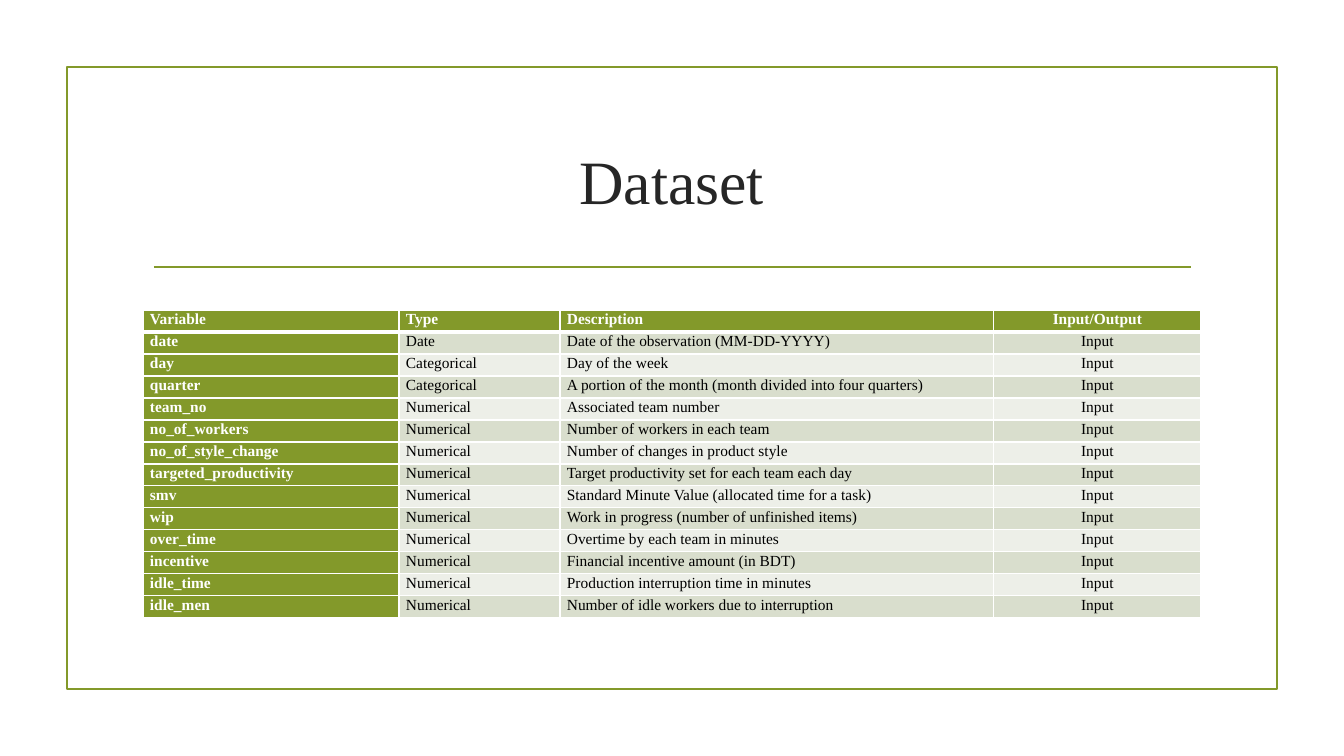
from dataclasses import dataclass

from lxml.etree import SubElement
from pptx import Presentation
from pptx.dml.color import RGBColor
from pptx.enum.shapes import MSO_CONNECTOR, MSO_SHAPE
from pptx.enum.text import MSO_ANCHOR, PP_ALIGN
from pptx.oxml.ns import qn
from pptx.util import Pt

EMU_PER_PX = 914400 / 100.8


def px(length):
    return round(length * EMU_PER_PX)


@dataclass(frozen=True)
class Theme:
    font: str = "Times New Roman"
    green: str = "83992A"
    dark_band: str = "D9DECD"
    light_band: str = "EDEFE8"
    white: str = "FFFFFF"
    black: str = "000000"
    title_color: str = "262626"
    title_size: int = 44
    table_size: int = 11
    line_width: float = 1.25
    cell_border: int = 1
    header_border: int = 3
    line_spacing: float = 1.07


class SlideBuilder:
    def __init__(self, slide, theme):
        self.slide = slide
        self.theme = theme

    def format_paragraph(self, paragraph, size, color, alignment, bold=False):
        paragraph.alignment = alignment
        for run in paragraph.runs:
            run.font.name = self.theme.font
            run.font.size = Pt(size)
            run.font.bold = bold
            run.font.color.rgb = RGBColor.from_string(color)

    def style_line(self, line):
        line.color.rgb = RGBColor.from_string(self.theme.green)
        line.width = Pt(self.theme.line_width)

    def frame(self, left, top, width, height):
        shape = self.slide.shapes.add_shape(
            MSO_SHAPE.RECTANGLE, px(left), px(top), px(width), px(height))
        shape.shadow.inherit = False
        shape.fill.background()
        self.style_line(shape.line)

    def rule(self, left, right, y):
        connector = self.slide.shapes.add_connector(
            MSO_CONNECTOR.STRAIGHT, px(left), px(y), px(right), px(y))
        self.style_line(connector.line)
        SubElement(connector._element.spPr, qn("a:effectLst"))

    def title(self, text, left, top, width, height):
        box = self.slide.shapes.add_textbox(px(left), px(top), px(width), px(height))
        text_frame = box.text_frame
        text_frame.word_wrap = True
        text_frame.vertical_anchor = MSO_ANCHOR.MIDDLE
        text_frame.text = text
        self.format_paragraph(text_frame.paragraphs[0], self.theme.title_size,
                              self.theme.title_color, PP_ALIGN.CENTER)

    def cell_borders(self, cell, widths):
        """Draw white borders; widths maps a side (L, R, T, B) to points."""
        properties = cell._tc.get_or_add_tcPr()
        for side, width in widths.items():
            border = SubElement(properties, qn(f"a:ln{side}"), w=str(Pt(width)))
            fill = SubElement(border, qn("a:solidFill"))
            SubElement(fill, qn("a:srgbClr"), val=self.theme.white)

    def cell(self, cell, text, fill, color, alignment, bold, borders):
        cell.margin_left = cell.margin_right = px(7)
        cell.margin_top = cell.margin_bottom = 0
        self.cell_borders(cell, borders)
        cell.fill.solid()
        cell.fill.fore_color.rgb = RGBColor.from_string(fill)
        cell.text_frame.text = text
        paragraph = cell.text_frame.paragraphs[0]
        paragraph.line_spacing = self.theme.line_spacing
        self.format_paragraph(paragraph, self.theme.table_size, color, alignment, bold)

    def table(self, rows, left, top, column_widths, row_height):
        """Add a table with a green header row and first column, the rest banded."""
        theme = self.theme
        table = self.slide.shapes.add_table(
            len(rows), len(column_widths), px(left), px(top),
            px(sum(column_widths)), px(row_height * len(rows))).table
        table.first_col = True
        table.horz_banding = False
        for column, width in zip(table.columns, column_widths):
            column.width = px(width)
        thin = theme.cell_border
        header_borders = {"L": thin, "R": thin, "T": thin, "B": theme.header_border}
        body_borders = {"L": thin, "R": thin, "B": thin}
        last_column = len(column_widths) - 1
        for row_index, values in enumerate(rows):
            table.rows[row_index].height = px(row_height)
            band = theme.dark_band if row_index % 2 else theme.light_band
            for column_index, text in enumerate(values):
                heading = row_index == 0 or column_index == 0
                self.cell(
                    table.cell(row_index, column_index), text,
                    fill=theme.green if heading else band,
                    color=theme.white if heading else theme.black,
                    alignment=(PP_ALIGN.CENTER if column_index == last_column
                               else PP_ALIGN.JUSTIFY),
                    bold=heading,
                    borders=body_borders if row_index else header_borders)


HEADER = ("Variable", "Type", "Description", "Input/Output")
VARIABLES = [
    ("date", "Date", "Date of the observation (MM-DD-YYYY)"),
    ("day", "Categorical", "Day of the week"),
    ("quarter", "Categorical",
     "A portion of the month (month divided into four quarters)"),
    ("team_no", "Numerical", "Associated team number"),
    ("no_of_workers", "Numerical", "Number of workers in each team"),
    ("no_of_style_change", "Numerical", "Number of changes in product style"),
    ("targeted_productivity", "Numerical",
     "Target productivity set for each team each day"),
    ("smv", "Numerical", "Standard Minute Value (allocated time for a task)"),
    ("wip", "Numerical", "Work in progress (number of unfinished items)"),
    ("over_time", "Numerical", "Overtime by each team in minutes"),
    ("incentive", "Numerical", "Financial incentive amount (in BDT)"),
    ("idle_time", "Numerical", "Production interruption time in minutes"),
    ("idle_men", "Numerical", "Number of idle workers due to interruption"),
]


def main():
    presentation = Presentation()
    presentation.slide_width = px(1344)
    presentation.slide_height = px(756)
    slide = presentation.slides.add_slide(presentation.slide_layouts[6])
    builder = SlideBuilder(slide, Theme())

    builder.frame(67, 67, 1210, 622)
    builder.rule(154, 1191, 267)
    builder.title("Dataset", 143, 108, 1058, 144)
    rows = [HEADER] + [(*variable, "Input") for variable in VARIABLES]
    builder.table(rows, 143, 310, column_widths=(256, 161, 434, 207), row_height=22)

    presentation.save("out.pptx")


if __name__ == "__main__":
    main()
